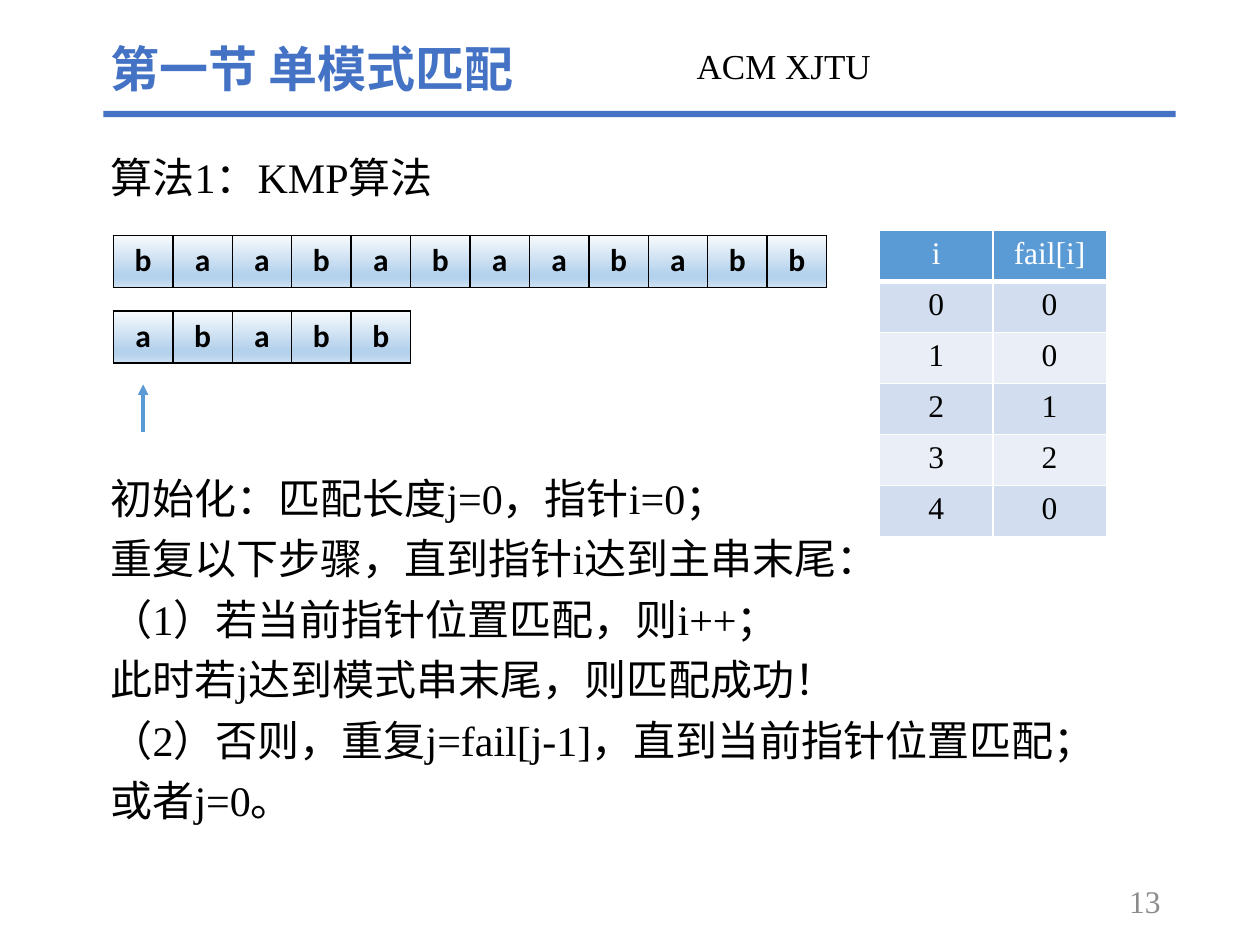
from lxml import etree
from pptx import Presentation
from pptx.dml.color import RGBColor
from pptx.enum import shapes, text
from pptx.oxml import parse_xml
from pptx.oxml.ns import nsdecls, qn
from pptx.util import Inches, Pt

BLACK = RGBColor(0x00, 0x00, 0x00)
WHITE = RGBColor(0xFF, 0xFF, 0xFF)
GREY = RGBColor(0x8C, 0x8C, 0x8C)
NAVY = RGBColor(0x44, 0x72, 0xC4)
BLUE = RGBColor(0x5B, 0x9B, 0xD5)
PALE = RGBColor(0xD2, 0xDE, 0xEF)
MIST = RGBColor(0xEA, 0xEF, 0xF7)
ICE = RGBColor(0xF7, 0xFA, 0xFD)
SKY = RGBColor(0xB5, 0xD2, 0xEC)
HAZE = RGBColor(0xCE, 0xE1, 0xF2)
GLOSS = [(0, ICE), (74, SKY), (83, SKY), (100, HAZE)]
SERIF = "Times New Roman"
SANS = "Noto Sans CJK SC"


def write(frame, words, size=24, font=SERIF, color=BLACK, bold=False,
          align=text.PP_ALIGN.LEFT, space=1.0):
    for i, line in enumerate(words.split("\n")):
        para = frame.paragraphs[0] if i == 0 else frame.add_paragraph()
        para.alignment = align
        para.line_spacing = space
        run = para.add_run()
        run.text = line
        run.font.size = Pt(size)
        run.font.name = font
        run.font.bold = bold
        run.font.color.rgb = color
        east = etree.SubElement(run.font._element, qn("a:ea"))
        east.set("typeface", SANS)


def label(slide, box, words, anchor=text.MSO_ANCHOR.TOP, **style):
    frame = slide.shapes.add_textbox(*map(Inches, box)).text_frame
    frame.word_wrap = True
    frame.vertical_anchor = anchor
    write(frame, words, **style)


def edge(cell, color, base=1):
    props = cell._tc.get_or_add_tcPr()
    for side, width in (("L", 1), ("R", 1), ("T", 1), ("B", base)):
        props.append(parse_xml(
            f'<a:ln{side} {nsdecls("a")} w="{Pt(width)}"><a:solidFill>'
            f'<a:srgbClr val="{color}"/></a:solidFill></a:ln{side}>'))


def shade(cell):
    stops = "".join(f'<a:gs pos="{pos * 1000}"><a:srgbClr val="{color}"/></a:gs>'
                    for pos, color in GLOSS)
    cell._tc.get_or_add_tcPr().append(parse_xml(
        f'<a:gradFill {nsdecls("a")}><a:gsLst>{stops}</a:gsLst>'
        '<a:lin ang="5400000" scaled="0"/></a:gradFill>'))


def grid(slide, box, rows, cols):
    table = slide.shapes.add_table(rows, cols, *map(Inches, box)).table
    for col in table.columns:
        col.width = Inches(box[2] / cols)
    for row in table.rows:
        row.height = Inches(box[3] / rows)
    return table


def strip(slide, box, chars):
    table = grid(slide, box, 1, len(chars))
    for cell, char in zip(table.iter_cells(), chars):
        edge(cell, BLACK)
        shade(cell)
        write(cell.text_frame, char, size=18, font="Calibri", bold=True,
              align=text.PP_ALIGN.CENTER)


def fails(slide, box, values):
    rows = [("i", "fail[i]"), *enumerate(values)]
    table = grid(slide, box, len(rows), 2)
    for r, row in enumerate(rows):
        fill = BLUE if r == 0 else PALE if r % 2 else MIST
        for c, value in enumerate(row):
            cell = table.cell(r, c)
            edge(cell, WHITE, base=1 if r else 3)
            cell.fill.solid()
            cell.fill.fore_color.rgb = fill
            write(cell.text_frame, str(value), size=18,
                  color=BLACK if r else WHITE, align=text.PP_ALIGN.CENTER)


def header(slide, box):
    left, top, width, height = box
    bar = slide.shapes.add_shape(
        shapes.MSO_SHAPE.RECTANGLE, Inches(left), Inches(top + height - 0.05),
        Inches(width), Inches(0.05))
    bar.shadow.inherit = False
    bar.fill.solid()
    bar.fill.fore_color.rgb = NAVY
    bar.line.fill.background()
    label(slide, (left - 0.04, top, 4.37, 0.57), "第一节 单模式匹配",
          size=28, font=SANS, color=NAVY, bold=True)
    label(slide, (left + 4.61, top + 0.08, 2.51, 0.52), "ACM XJTU",
          size=20, space=0.9)


def arrow(slide, box):
    left, top, width, height = map(Inches, box)
    line = slide.shapes.add_connector(
        shapes.MSO_CONNECTOR.STRAIGHT, left, top + height, left + width, top)
    line.line.color.rgb = BLUE
    line.line.width = Pt(2)
    etree.SubElement(line.line._get_or_add_ln(), qn("a:tailEnd")).set("type", "triangle")
    etree.SubElement(line._element.spPr, qn("a:effectLst"))


def match(slide, box):
    left, top, width, height = box
    step = width / 12
    strip(slide, (left, top, width, 0.41), "baababaababb"[:3] + "babaababb")
    strip(slide, (left, top + 0.6, step * 5, 0.41), "ababb")
    arrow(slide, (left + step / 2, top + height - 0.38, 0, 0.38))


def steps(slide, box):
    label(slide, box, "初始化：匹配长度j=0，指针i=0；\n"
          "重复以下步骤，直到指针i达到主串末尾：\n"
          "（1）若当前指针位置匹配，则i++；\n"
          "此时若j达到模式串末尾，则匹配成功！\n"
          "（2）否则，重复j=fail[j-1]，直到当前指针位置匹配；\n"
          "或者j=0。", space=1.2)


def main():
    deck = Presentation()
    deck.slide_width, deck.slide_height = Inches(10), Inches(7.5)
    slide = deck.slides.add_slide(deck.slide_layouts[6])
    header(slide, (0.82, 0.26, 8.51, 0.67))
    label(slide, (0.78, 1.07, 8.24, 0.59), "算法1：KMP算法", space=1.2)
    match(slide, (0.9, 1.87, 5.66, 1.56))
    steps(slide, (0.78, 3.62, 8.24, 3.01))
    fails(slide, (6.98, 1.83, 1.8, 2.43), [0, 0, 1, 2, 0])
    label(slide, (7.06, 6.95, 2.25, 0.4), "13", size=18, color=GREY,
          align=text.PP_ALIGN.RIGHT, anchor=text.MSO_ANCHOR.MIDDLE)
    deck.save("out.pptx")


if __name__ == "__main__":
    main()
